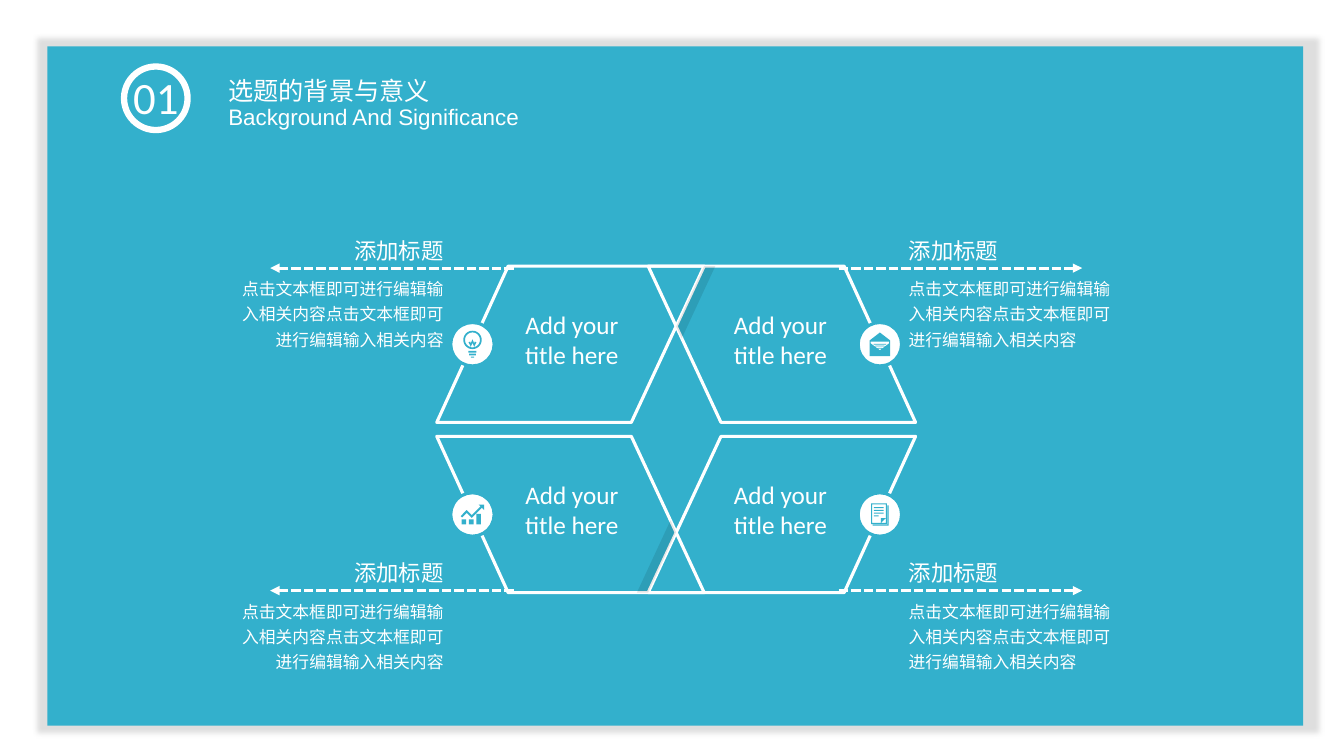
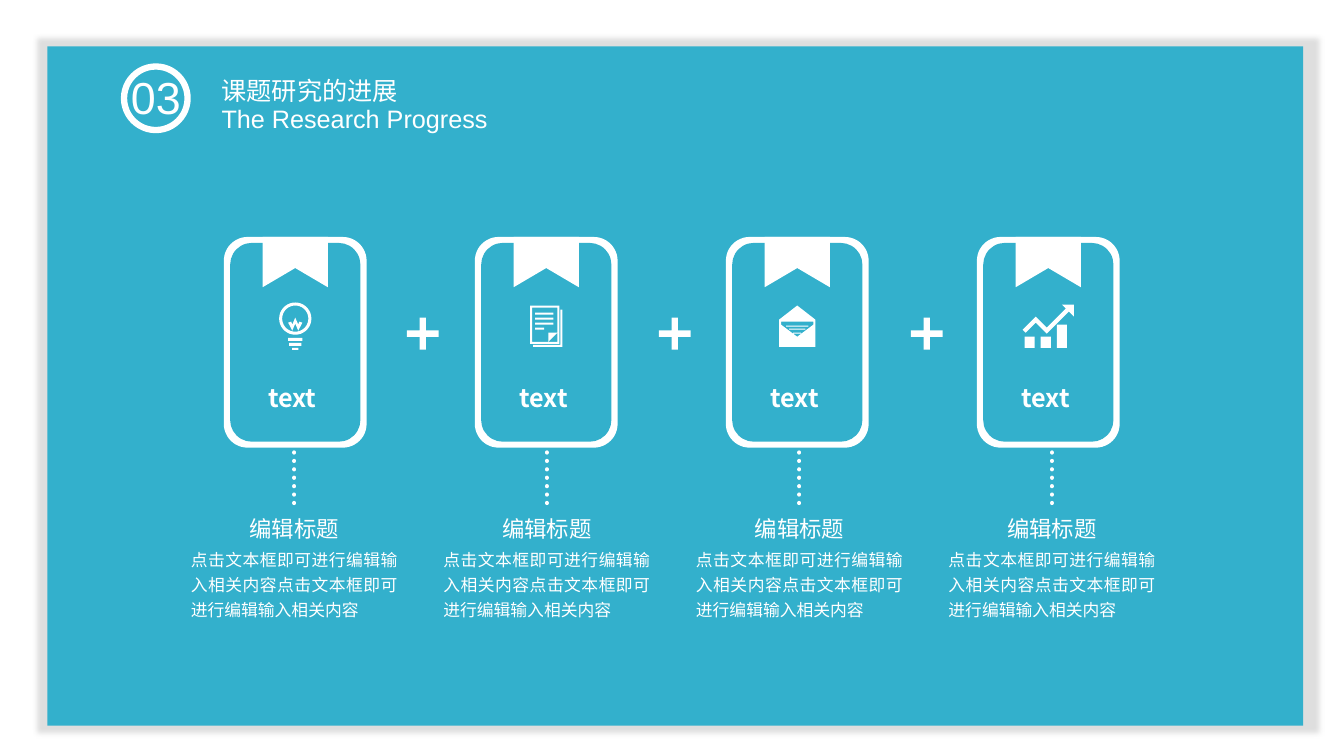
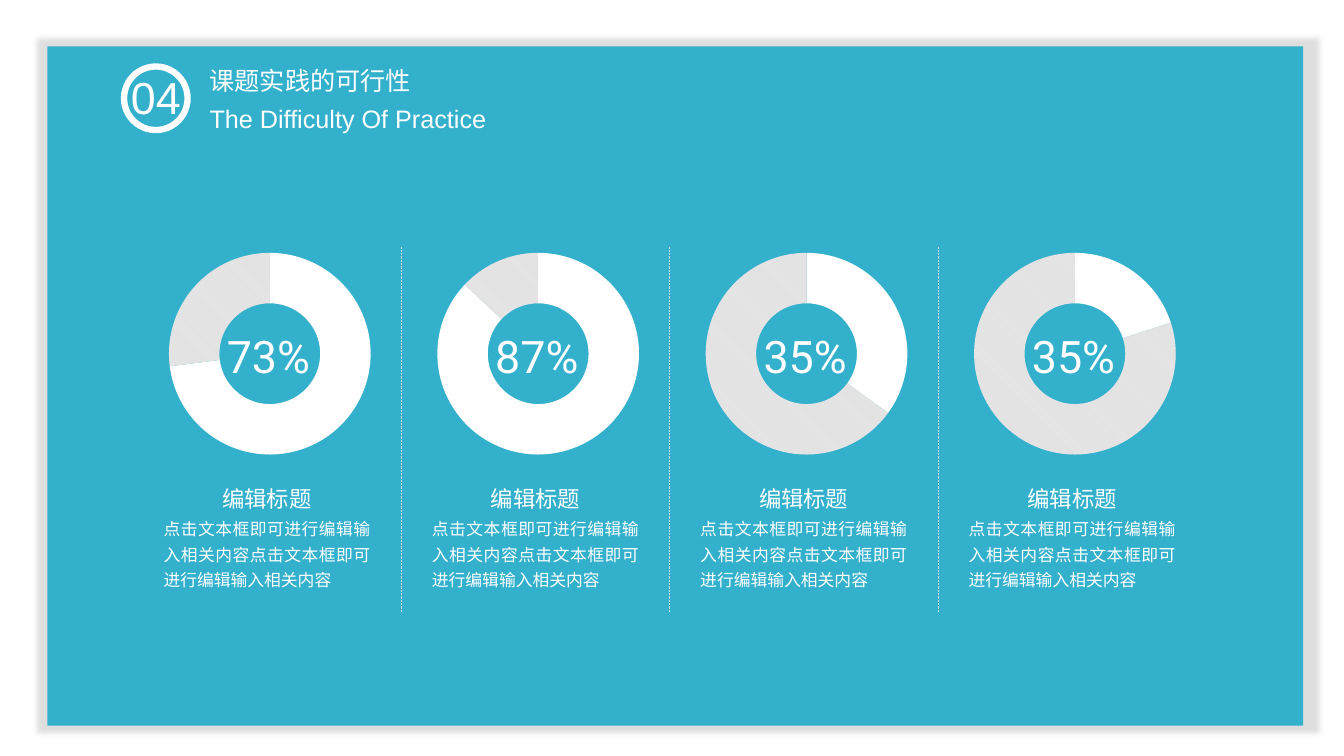
"""Build three slides of a thesis report: background, progress and feasibility."""
import math

from lxml import etree
from pptx import Presentation
from pptx import util as u
from pptx.chart import data as chart_data
from pptx.dml import color as dml_color
from pptx.enum import chart as chart_enum
from pptx.enum import dml, shapes, text
from pptx.oxml import ns

TEAL, WHITE, BLACK = "33B0CC", "FFFFFF", "000000"
SHADOW, PALE, MIST, GREY = "A6A6A6", "D9D9D9", "E7E6E6", "808080"
CJK, LATIN, ROUNDED, DIGITS = "Noto Sans CJK SC", "Arial", "Calibri", "Roboto"
BODY = "点击文本框即可进行编辑输入相关内容点击文本框即可进行编辑输入相关内容"
LEFT, CENTER, RIGHT, JUSTIFY = (
    text.PP_ALIGN.LEFT, text.PP_ALIGN.CENTER, text.PP_ALIGN.RIGHT, text.PP_ALIGN.JUSTIFY)
SHAPE, DASH = shapes.MSO_SHAPE, dml.MSO_LINE
CAPTION_WIDTH = 162


def rgb(value):
    return dml_color.RGBColor.from_string(value)


def child(parent, tag, **attributes):
    return etree.SubElement(parent, ns.qn(tag), attributes)


def circle(x, y, radius):
    angles = [math.tau * i / 36 for i in range(36)]
    return [(x + radius * math.cos(a), y + radius * math.sin(a)) for a in angles]


def box(left, top, right, bottom):
    return [(left, top), (right, top), (right, bottom), (left, bottom)]


def symmetric(x, half):
    return half + [(2 * x - px, py) for px, py in reversed(half)]


def bulb():
    filament = [(16, 15), (13, 22), (12, 19), (9, 20), (13, 28), (16, 21)]
    base = [symmetric(16, [(9 + i, 35 + 5 * i), (9 + i, 38 + 5 * i)]) for i in range(2)]
    return [circle(16, 16, 16), circle(16, 16, 13), symmetric(16, filament), *base,
            box(13, 45, 19, 47)]


def document():
    lines = [box(5, y, 23 if y < 22 else 14, y + 2) for y in range(7, 23, 5)]
    return [box(0, 0, 29, 38), box(2, 2, 27, 36), [(18, 36), (18, 27), (27, 27)],
            box(30, 4, 32, 41), box(3, 39, 30, 41), *lines]


def envelope():
    lines = [box(18 - half, 31 - half, 18 + half, 32 - half) for half in (4, 8, 11)]
    return [symmetric(18, [(18, 0), (0, 14), (0, 41)]),
            symmetric(18, [(18, 31), (2, 19), (2, 16)]), *lines]


def growth():
    bars = [box(x, top, x + 10, 43) for x, top in ((2, 32), (18, 32), (34, 20))]
    trend = [(0, 25), (13, 12), (24, 23), (43, 4), (46, 7), (24, 29), (13, 18), (3, 28)]
    return [*bars, trend, [(39, 0), (51, 0), (51, 12)]]


class Deck:
    """Hold the shared style and the slide being drawn."""

    def __init__(self):
        self.presentation = Presentation()
        self.presentation.slide_width = u.Pt(960)
        self.presentation.slide_height = u.Pt(540)
        self.slide = None

    def new_slide(self, number, title, subtitle, left, title_top=29, spacing=2,
                  subtitle_size=18, number_font=LATIN):
        self.slide = self.presentation.slides.add_slide(self.presentation.slide_layouts[6])
        panel = self.shape(SHAPE.RECTANGLE, 482.4, 275.8, 897, 485.3, fill=TEAL)
        effects = panel.element.spPr.find(ns.qn("a:effectLst"))
        outer = child(effects, "a:outerShdw", blurRad=str(u.Pt(4)), dist=str(u.Pt(2)), dir="0",
                      sx="102000", sy="102000", algn="ctr", rotWithShape="0")
        child(child(outer, "a:srgbClr", val=SHADOW), "a:alpha", val="36000")
        self.shape(SHAPE.OVAL, 111.3, 70.2, 45.4, line=WHITE, weight=4.5)
        self.text(number, 111.3, 46.5, 62, size=32, font=number_font, align=CENTER)
        self.text(title, left + 81, title_top, 162, spacing=spacing)
        self.text(subtitle, left + 197, 70, 394, size=subtitle_size, font=LATIN)

    def paint(self, shape, fill=None, line=None, weight=2.25, alpha=None):
        shape.shadow.inherit = False
        if fill:
            shape.fill.solid()
            shape.fill.fore_color.rgb = rgb(fill)
        else:
            shape.fill.background()
        if alpha:
            tint = shape.element.spPr.find(".//" + ns.qn("a:srgbClr"))
            child(tint, "a:alpha", val=str(alpha * 1000))
        if line:
            shape.line.color.rgb = rgb(line)
            shape.line.width = u.Pt(weight)
        else:
            shape.line.fill.background()
        return shape

    def shape(self, kind, x, y, width, height=None, **style):
        height = height or width
        shape = self.slide.shapes.add_shape(
            kind, u.Pt(x - width / 2), u.Pt(y - height / 2), u.Pt(width), u.Pt(height))
        return self.paint(shape, **style)

    def outline(self, contours, **style):
        contours = [[(u.Pt(x), u.Pt(y)) for x, y in contour] for contour in contours]
        builder = self.slide.shapes.build_freeform(*contours[0][0], scale=1.0)
        for index, contour in enumerate(contours):
            if index:
                builder.move_to(*contour[0])
            builder.add_line_segments(contour[1:], close=True)
        return self.paint(builder.convert_to_shape(), **style)

    def icon(self, draw, x, y, scale, color):
        contours = draw()
        width, height = (max(p[axis] for c in contours for p in c) for axis in (0, 1))
        self.outline([[(x + (px - width / 2) * scale, y + (py - height / 2) * scale)
                       for px, py in contour] for contour in contours], fill=color)

    def line(self, x1, y1, x2, y2, dash, color=WHITE, weight=2.25, arrow=False, rounded=False):
        connector = self.slide.shapes.add_connector(
            shapes.MSO_CONNECTOR.STRAIGHT, u.Pt(x1), u.Pt(y1), u.Pt(x2), u.Pt(y2))
        connector.line.color.rgb = rgb(color)
        connector.line.width = u.Pt(weight)
        connector.line.dash_style = dash
        properties = connector.element.spPr
        stroke = properties.find(ns.qn("a:ln"))
        if rounded:
            stroke.set("cap", "rnd")
        if arrow:
            child(stroke, "a:tailEnd", type="triangle")
        child(properties, "a:effectLst")

    def text(self, content, x, top, width, size=18, font=CJK, color=WHITE,
             bold=False, align=LEFT, spacing=None, lines=1):
        height = size * 1.2 * lines * (spacing or 1) + 7.2
        frame = self.slide.shapes.add_textbox(
            u.Pt(x - width / 2), u.Pt(top), u.Pt(width), u.Pt(height)).text_frame
        frame.word_wrap = True
        for index, words in enumerate(content.split("\n")):
            paragraph = frame.add_paragraph() if index else frame.paragraphs[0]
            paragraph.alignment = align
            if spacing:
                paragraph.line_spacing = float(spacing)
            run = paragraph.add_run()
            run.text = words
            run.font.size = u.Pt(size)
            run.font.name = font
            run.font.bold = bold
            run.font.color.rgb = rgb(color)
            child(run.font._element, "a:ea", typeface=font)

    def caption(self, title, x, top, gap=20.9, title_align=CENTER, body_align=JUSTIFY):
        self.text(BODY, x, top + gap, CAPTION_WIDTH, size=12, align=body_align,
                  spacing=1.25, lines=3)
        self.text(title, x, top, CAPTION_WIDTH, size=16, align=title_align)

    def doughnut(self, value, x, top, width, height):
        values = chart_data.CategoryChartData()
        values.categories = ["1", "2"]
        values.add_series("Series 1", (value, 100 - value))
        chart = self.slide.shapes.add_chart(
            chart_enum.XL_CHART_TYPE.DOUGHNUT, u.Pt(x - width / 2), u.Pt(top),
            u.Pt(width), u.Pt(height), values).chart
        chart.has_legend = chart.has_title = False
        chart.font.size = u.Pt(18)
        chart.font.name = ROUNDED
        chart.font.color.rgb = rgb(GREY)
        plot = chart.plots[0]
        plot.vary_by_categories = True
        done, rest = (plot.series[0].points[i].format for i in range(2))
        done.fill.solid()
        done.fill.fore_color.rgb = rgb(WHITE)
        rest.fill.patterned()
        rest.fill.pattern = dml.MSO_PATTERN.DARK_DOWNWARD_DIAGONAL
        rest.fill.fore_color.rgb = rgb(PALE)
        rest.fill.back_color.rgb = rgb(MIST)
        for part in (done, rest):
            part.line.fill.background()
        chart.element.find(".//" + ns.qn("c:holeSize")).set("val", "82")
        area = chart.element.find(".//" + ns.qn("c:plotArea"))
        layout = area.find(ns.qn("c:layout"))
        if layout is None:
            layout = child(area, "c:layout")
            area.insert(0, layout)
        manual = child(layout, "c:manualLayout")
        for tag, setting in (("layoutTarget", "inner"), ("xMode", "edge"), ("yMode", "edge"),
                             ("x", "0.16"), ("y", "0.06"), ("w", "0.69"), ("h", "0.88")):
            child(manual, "c:" + tag, val=setting)


def background(deck):
    deck.new_slide("01", "选题的背景与意义", "Background And Significance", left=156,
                   subtitle_size=16, number_font=ROUNDED)
    middle_x, middle_y = 483, 306.7
    trapezoid = [(120, 116.6), (-20, 116.6), (32, 5), (171, 5)]
    overlap = [(28, 116.6), (4, 65), (0, 73.4), (20, 116.6)]

    def mirrored(points, across, down):
        return [[(middle_x + across * x, middle_y + down * y) for x, y in points]]

    quadrants = [(1, -1, envelope, 0.41), (-1, 1, growth, 0.33),
                 (1, 1, document, 0.39), (-1, -1, bulb, 0.41)]
    for across, down, icon, scale in quadrants:
        deck.outline(mirrored(trapezoid, across, down), line=WHITE)
        badge_x, badge_y = middle_x + across * 145.5, middle_y + down * 60.8
        deck.shape(SHAPE.OVAL, badge_x, badge_y, 31, fill=WHITE, line=TEAL)
        deck.icon(icon, badge_x, badge_y, scale, TEAL)
        arrow_y = middle_y + down * 115.2
        deck.line(middle_x + across * 116, arrow_y, middle_x + across * 290, arrow_y,
                  DASH.SQUARE_DOT, arrow=True)
        align = LEFT if across > 0 else RIGHT
        deck.caption("添加标题", middle_x + across * 240, arrow_y - 26, gap=26.6,
                     title_align=align, body_align=align)
        deck.text("Add your\ntitle here", middle_x + across * 74.5, badge_y - 28.8, 189,
                  font=ROUNDED, align=CENTER, lines=2)
    for across, down in ((1, -1), (-1, 1)):
        deck.outline(mirrored(overlap, across, down), fill=BLACK, alpha=10)


def progress(deck):
    deck.new_slide("03", "课题研究的进展", "The Research Progress", left=151.2)
    icons = [bulb, document, envelope, growth]
    card_y, card_top = 244.5, 169.2
    for index, icon in enumerate(icons):
        x = 210.9 + 179.3 * index
        deck.shape(SHAPE.ROUNDED_RECTANGLE, x, card_y, 102, 150.5, fill=WHITE)
        deck.shape(SHAPE.ROUNDED_RECTANGLE, x, card_y, 93, 142, fill=TEAL)
        ribbon = [(x, card_top), (x - 23.3, card_top), (x - 23.3, card_top + 36),
                  (x, card_top + 22.3)]
        deck.outline([symmetric(x, ribbon)], fill=WHITE)
        deck.icon(icon, x, 233, 0.72, WHITE)
        deck.text("text", x - 2, 269.3, 69, bold=True, align=CENTER)
        caption_x = 210.2 + 180.4 * index
        deck.line(caption_x, 359.3, caption_x, 319.7, DASH.ROUND_DOT, weight=3, rounded=True)
        deck.caption("编辑标题", caption_x, 364.3)
    for index in range(len(icons) - 1):
        plus = deck.shape(SHAPE.CROSS, 302 + 180 * index, 238.3, 22.8, fill=WHITE)
        plus.adjustments[0] = 0.4


def feasibility(deck):
    deck.new_slide("04", "课题实践的可行性", "The Difficulty Of Practice", left=142.6,
                   title_top=43.2, spacing=None)
    step = 191.7
    gauges = [(73, "73%"), (87, "87%"), (35, "35%"), (20, "35%")]
    for index, (value, label) in enumerate(gauges):
        x = step * (index + 1)
        if index:
            border = x - step / 2 - 1
            deck.line(border, 176.4, border, 437, DASH.ROUND_DOT, color=PALE, weight=0.5)
        deck.doughnut(value, x, 170.6, 208.8, 164.2)
        deck.text(label, x, 231, 84, size=32, font=DIGITS, align=CENTER)
        deck.caption("编辑标题", x - 1, 342.7)


def main():
    deck = Deck()
    background(deck)
    progress(deck)
    feasibility(deck)
    deck.presentation.save("out.pptx")


if __name__ == "__main__":
    main()
